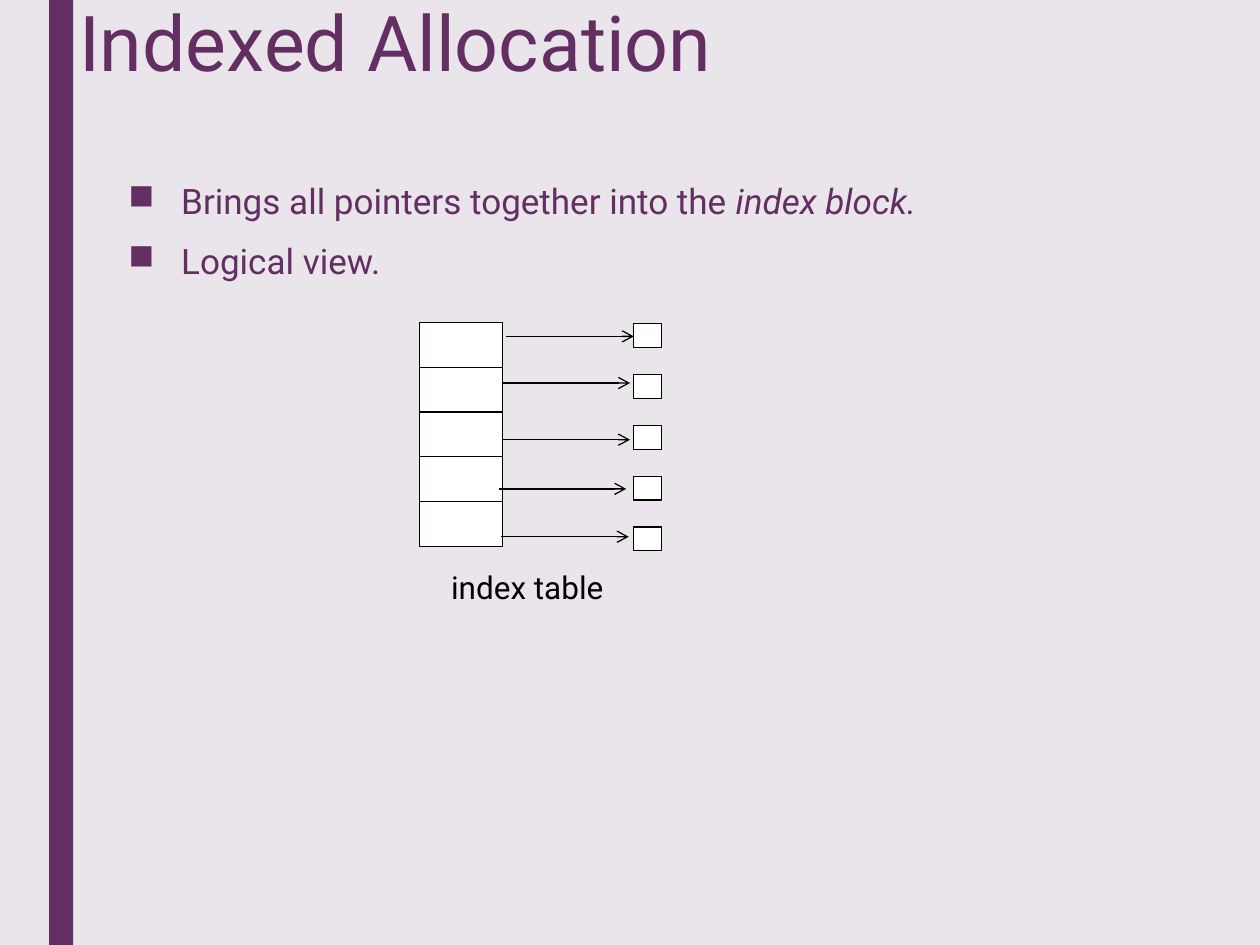
from lxml import etree
from pptx import Presentation
from pptx.dml.color import RGBColor
from pptx.enum.shapes import MSO_CONNECTOR, MSO_SHAPE
from pptx.enum.text import MSO_ANCHOR, MSO_AUTO_SIZE, PP_ALIGN
from pptx.oxml.ns import qn
from pptx.util import Inches, Pt

RECTANGLE = MSO_SHAPE.RECTANGLE
STRAIGHT = MSO_CONNECTOR.STRAIGHT
TOP, MIDDLE = MSO_ANCHOR.TOP, MSO_ANCHOR.MIDDLE
NO_RESIZE, GROW = MSO_AUTO_SIZE.NONE, MSO_AUTO_SIZE.SHAPE_TO_FIT_TEXT
LEFT, CENTER = PP_ALIGN.LEFT, PP_ALIGN.CENTER

PURPLE = RGBColor(0x63, 0x2E, 0x62)
LILAC = RGBColor(0xEA, 0xE5, 0xEB)
WHITE = RGBColor(0xFF, 0xFF, 0xFF)
BLACK = RGBColor(0x00, 0x00, 0x00)

COLUMNS, ROWS = 100, 75
BLOCKS = 5
ARROW_LENGTH = 10.1
ARROW_STARTS = [(40.2, 26.7), (39.9, 30.4), (39.9, 34.9), (39.6, 38.8), (39.8, 42.6)]

TITLE_FORMAT = {"line_spacing": 0.89, "alignment": LEFT}
BULLET_FORMAT = {"line_spacing": 0.94, "space_before": Pt(10), "space_after": Pt(2), "alignment": LEFT}
LABEL_FORMAT = {"alignment": CENTER}


class SlideBuilder:
    font_name = "Roboto"
    line_width = Pt(0.75)
    bullet = "■"
    bullet_indent = Inches(0.42)

    def __init__(self, presentation):
        self.column = presentation.slide_width / COLUMNS
        self.row = presentation.slide_height / ROWS
        self.slide = presentation.slides.add_slide(presentation.slide_layouts[6])
        background = self.slide.background.fill
        background.solid()
        background.fore_color.rgb = LILAC

    def place(self, left, top, width, height):
        return (round(left * self.column), round(top * self.row),
                round(width * self.column), round(height * self.row))

    def box(self, area, fill, outline=None):
        shape = self.slide.shapes.add_shape(RECTANGLE, *self.place(*area))
        shape.shadow.inherit = False
        shape.fill.solid()
        shape.fill.fore_color.rgb = fill
        if outline is None:
            shape.line.fill.background()
        else:
            shape.line.color.rgb = outline
            shape.line.width = self.line_width

    def arrow(self, left, top, length):
        connector = self.slide.shapes.add_connector(
            STRAIGHT, *self.place(left, top, left + length, top))
        connector.line.color.rgb = BLACK
        connector.line.width = self.line_width
        properties = connector._element.spPr
        etree.SubElement(properties.find(qn("a:ln")), qn("a:tailEnd"), type="arrow")
        etree.SubElement(properties, qn("a:effectLst"))

    def text(self, area, paragraphs, size, color, paragraph_format,
             bulleted=False, **frame_format):
        frame = self.slide.shapes.add_textbox(*self.place(*area)).text_frame
        frame_values = {"word_wrap": True, "auto_size": NO_RESIZE, "vertical_anchor": TOP}
        for name, value in (frame_values | frame_format).items():
            setattr(frame, name, value)
        for index, runs in enumerate(paragraphs):
            paragraph = frame.add_paragraph() if index else frame.paragraphs[0]
            for name, value in paragraph_format.items():
                setattr(paragraph, name, value)
            if bulleted:
                self.add_bullet(paragraph)
            for content, italic in runs:
                run = paragraph.add_run()
                run.text = content
                run.font.color.rgb = color
                font_values = {"name": self.font_name, "size": Pt(size), "italic": italic}
                for name, value in font_values.items():
                    setattr(run.font, name, value)

    def add_bullet(self, paragraph):
        properties = paragraph._p.get_or_add_pPr()
        properties.set("marL", str(self.bullet_indent))
        properties.set("indent", str(-self.bullet_indent))
        etree.SubElement(properties, qn("a:buChar"), char=self.bullet)


def main():
    presentation = Presentation()
    presentation.slide_width = Inches(10)
    presentation.slide_height = Inches(7.5)
    builder = SlideBuilder(presentation)

    builder.box((3.9, 0, 1.9, ROWS), PURPLE)
    builder.text((5.3, 0, 81.7, 12.5), [[("Indexed Allocation", False)]],
                 44, PURPLE, TITLE_FORMAT)
    builder.text((9.2, 14, 80.4, 10.2), [
        [("Brings all pointers together into the ", False), ("index block.", True)],
        [("Logical view.", False)],
    ], 20, PURPLE, BULLET_FORMAT, bulleted=True)

    for index in range(BLOCKS):
        builder.box((33.3, 25.6 + 3.55 * index, 6.6, 3.6), WHITE, BLACK)
    for index in range(BLOCKS):
        builder.box((50.3, 25.7 + 4.03 * index, 2.2, 1.9), WHITE, BLACK)
    for left, top in ARROW_STARTS:
        builder.arrow(left, top, ARROW_LENGTH)

    builder.text((34.8, 44.6, 14.1, 4), [[("index table", False)]], 18, BLACK,
                 LABEL_FORMAT, word_wrap=False, auto_size=GROW, vertical_anchor=MIDDLE)
    presentation.save("out.pptx")


if __name__ == "__main__":
    main()
